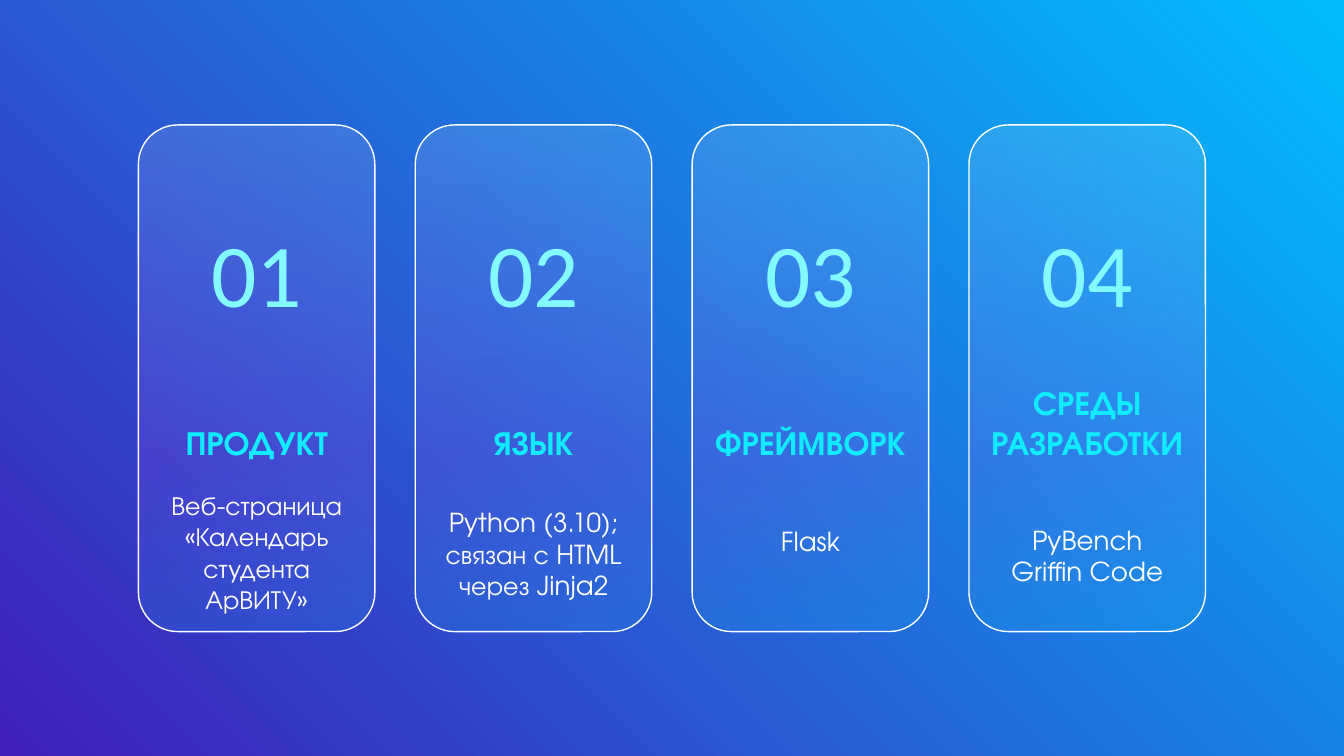
from pptx import Presentation
from pptx.dml.color import RGBColor
from pptx.enum import shapes, text
from pptx.oxml import parse_xml
from pptx.oxml.ns import nsdecls
from pptx.util import Inches, Pt

WHITE = RGBColor(0xFF, 0xFF, 0xFF)
INDIGO = RGBColor(0x40, 0x1E, 0xBB)
SKY = RGBColor(0x02, 0xBC, 0xFD)
PINK = RGBColor(0xE3, 0x54, 0xF7)
CYAN = RGBColor(0x10, 0xEC, 0xFF)
PALE_CYAN = RGBColor(0x83, 0xFA, 0xFF)
BODY_FONT = "TeX Gyre Adventor"

SLIDE_W = 10
SLIDE_H = SLIDE_W * 9 / 16
CARD_LEFT, CARD_TOP, CARD_W, CARD_H, CARD_STEP = 1.03, 0.93, 1.76, 3.77, 2.06
CARD_STOPS = [(0, WHITE), (66, PINK), (100, CYAN)]
CARD_OPACITY = 11

CARDS = [
    dict(number="01", heading="ПРОДУКТ", heading_w=1.71, body_y=2.61,
         body=["Веб-страница", "«Календарь студента АрВИТУ»"]),
    dict(number="02", heading="ЯЗЫК", heading_w=1.71, body_y=2.74,
         body=["Python (3.10);", "связан с HTML", "через Jinja2"]),
    dict(number="03", heading="ФРЕЙМВОРК", heading_w=1.81, body_y=2.88,
         body=["Flask"]),
    dict(number="04", heading="СРЕДЫ\vРАЗРАБОТКИ", heading_w=1.87, body_y=2.87,
         body=["PyBench", "Griffin Code"]),
]


def paint_background(s):
    fill = s.background.fill
    fill.gradient()
    fill.gradient_angle = 45
    for stop, position, color in zip(fill.gradient_stops, (0, 1), (INDIGO, SKY)):
        stop.position = position
        stop.color.rgb = color


def set_glass_fill(sp):
    stops = "".join(
        f'<a:gs pos="{pos * 1000}"><a:srgbClr val="{color}">'
        f'<a:alpha val="{CARD_OPACITY * 1000}"/></a:srgbClr></a:gs>'
        for pos, color in CARD_STOPS)
    grad = parse_xml(f'<a:gradFill {nsdecls("a")} rotWithShape="1"><a:gsLst>{stops}</a:gsLst>'
                     '<a:lin ang="5400000" scaled="0"/></a:gradFill>')
    sp.fill.background()
    spPr = sp._element.spPr
    spPr.replace(spPr.find("{*}noFill"), grad)


def write(sp, box, lines, size, color, font=BODY_FONT, bold=False, anchor=text.MSO_ANCHOR.TOP):
    sp.left, sp.top, sp.width, sp.height = map(Inches, box)
    tf = sp.text_frame
    tf.word_wrap = True
    tf.auto_size = text.MSO_AUTO_SIZE.NONE
    tf.vertical_anchor = anchor
    tf.margin_left = tf.margin_right = tf.margin_top = tf.margin_bottom = Inches(0.1)
    tf.text = "\n".join(lines)
    for p in tf.paragraphs:
        p.alignment = text.PP_ALIGN.CENTER
        p.font.name, p.font.size, p.font.bold = font, Pt(size), bold
        p.font.color.rgb = color


def add_card(s, x, y, w, h, number, heading, heading_w, body, body_y, title=None):
    sp = s.shapes.add_shape(shapes.MSO_SHAPE.ROUNDED_RECTANGLE,
                            Inches(x), Inches(y), Inches(w), Inches(h))
    sp.shadow.inherit = False
    sp.line.color.rgb = WHITE
    sp.line.width = Pt(0.75)
    set_glass_fill(sp)

    def centered(width, top, height):
        return x + (w - width) / 2, y + top, width, height

    def new_box():
        return s.shapes.add_textbox(0, 0, 0, 0)

    if title is not None:
        sp._element.addnext(title._element)
    write(title or new_box(), centered(1.55, 0.43, 1.16), [number], 48, PALE_CYAN,
          font="Calibri", anchor=text.MSO_ANCHOR.BOTTOM)
    write(new_box(), centered(heading_w, 1.97, 0.64), [heading], 18, CYAN,
          bold=True, anchor=text.MSO_ANCHOR.BOTTOM)
    write(new_box(), centered(1.71, body_y, 0.9), body, 14, WHITE)


def main():
    prs = Presentation()
    prs.slide_width, prs.slide_height = Inches(SLIDE_W), Inches(SLIDE_H)
    s = prs.slides.add_slide(prs.slide_layouts[5])
    paint_background(s)
    for i, card in enumerate(CARDS):
        add_card(s, CARD_LEFT + i * CARD_STEP, CARD_TOP, CARD_W, CARD_H, **card,
                 title=s.shapes.title if i == 0 else None)
    prs.save("out.pptx")


if __name__ == "__main__":
    main()
